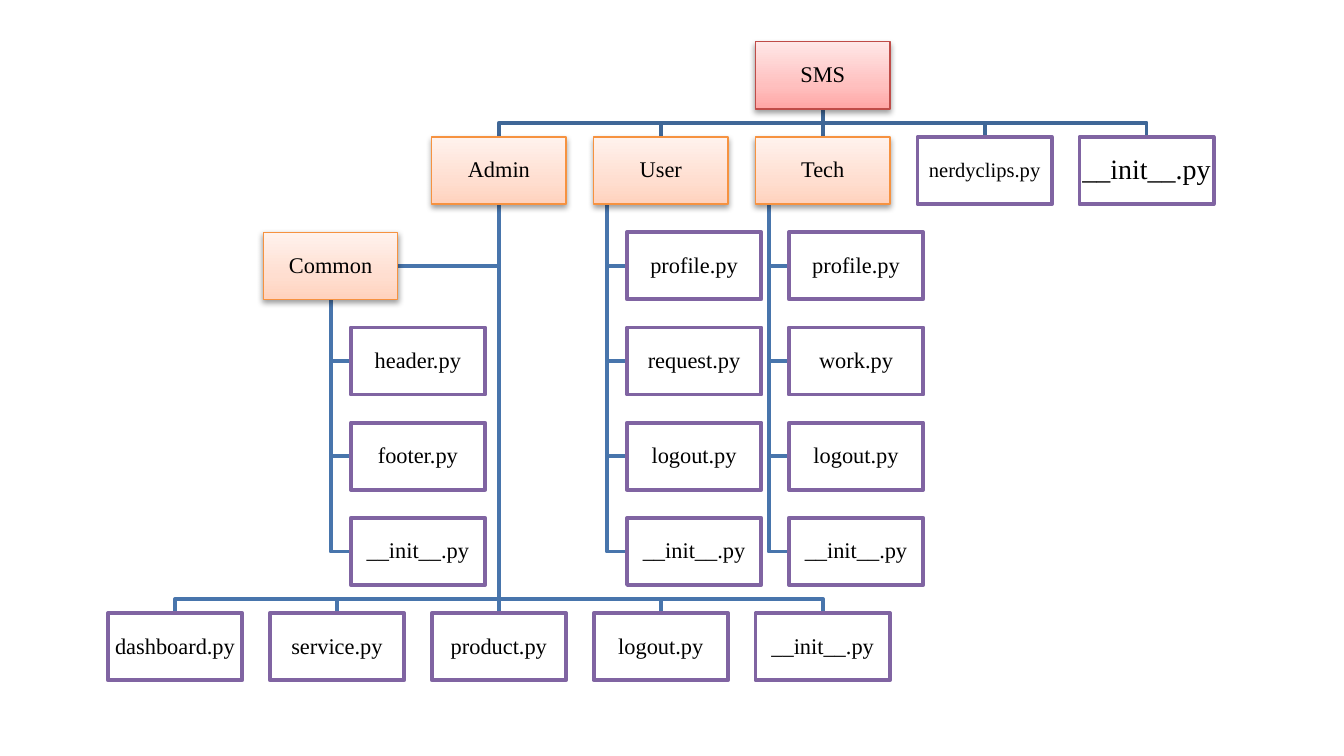
from lxml.etree import SubElement
from pptx import Presentation
from pptx.dml.color import RGBColor
from pptx.enum.shapes import MSO_CONNECTOR, MSO_SHAPE
from pptx.enum.text import MSO_ANCHOR, PP_ALIGN
from pptx.oxml.ns import qn
from pptx.util import Cm, Pt

# Colours
BLACK = RGBColor(0x00, 0x00, 0x00)
WHITE = RGBColor(0xFF, 0xFF, 0xFF)
ROOT_LINK = RGBColor(0x3F, 0x67, 0x97)
FOLDER_LINK = RGBColor(0x48, 0x75, 0xAC)
ROOT_EDGE = RGBColor(0xBF, 0x4C, 0x48)
FOLDER_EDGE = RGBColor(0xF6, 0x92, 0x40)
FILE_EDGE = RGBColor(0x80, 0x64, 0xA2)
ROOT_SHADES = [RGBColor(0xFF, 0xA6, 0xA5), RGBColor(0xFF, 0xC0, 0xBF), RGBColor(0xFF, 0xE7, 0xE7)]
FOLDER_SHADES = [RGBColor(0xFF, 0xD2, 0xBD), RGBColor(0xFF, 0xDE, 0xD0), RGBColor(0xFF, 0xF2, 0xED)]

# Grid in centimetres
BOX_W, BOX_H = 2.54, 1.27
LEFT, TOP = 2.04, 0.79
COLUMN_STEP, ROW_STEP = 3.06, 1.8
BRANCH_GAP = 0.27   # from a horizontal branch down to its boxes
SPINE_INSET = 0.25  # from the folder's left edge to its spine
SPINE_GAP = 0.38    # from a spine to its files
COMMON_X = 4.98

# Content
TOP_ROW = ["Admin", "User", "Tech", "nerdyclips.py", "__init__.py"]
TOP_SIZES = [12, 12, 12, 11, 15]
ADMIN_FILES = ["dashboard.py", "service.py", "product.py", "logout.py", "__init__.py"]
COMMON_FILES = ["header.py", "footer.py", "__init__.py"]
USER_FILES = ["profile.py", "request.py", "logout.py", "__init__.py"]
TECH_FILES = ["profile.py", "work.py", "logout.py", "__init__.py"]


def column_x(column):
    return LEFT + column * COLUMN_STEP


def row_y(row):
    return TOP + row * ROW_STEP


def add_label(shape, text, size=12, font="Times New Roman", color=BLACK):
    frame = shape.text_frame
    frame.word_wrap = True
    frame.vertical_anchor = MSO_ANCHOR.MIDDLE
    frame.margin_left = frame.margin_right = Cm(0.02)
    frame.margin_top = frame.margin_bottom = Cm(0.02)
    paragraph = frame.paragraphs[0]
    paragraph.alignment = PP_ALIGN.CENTER
    paragraph.line_spacing = 0.9
    run = paragraph.add_run()
    run.text = text
    run.font.size = Pt(size)
    run.font.name = font
    run.font.color.rgb = color


def add_box(slide, x, y, text, edge, edge_width, size=12):
    box = slide.shapes.add_shape(MSO_SHAPE.RECTANGLE, Cm(x), Cm(y), Cm(BOX_W), Cm(BOX_H))
    box.shadow.inherit = False
    box.fill.solid()
    box.fill.fore_color.rgb = WHITE
    box.line.color.rgb = edge
    box.line.width = Pt(edge_width)
    add_label(box, text, size=size)
    return box


def add_file(slide, x, y, text, size=12):
    add_box(slide, x, y, text, FILE_EDGE, 2, size)


def add_folder(slide, x, y, text, edge=FOLDER_EDGE, shades=FOLDER_SHADES):
    box = add_box(slide, x, y, text, edge, 0.75)
    box.fill.gradient()
    box.fill.gradient_angle = 90
    properties = box.element.spPr
    # Three gradient stops, darkest at the bottom
    stops = properties.find(".//" + qn("a:gsLst"))
    for stop in list(stops):
        stops.remove(stop)
    for position, shade in zip((0, 35000, 100000), shades):
        stop = SubElement(stops, qn("a:gs"), pos=str(position))
        SubElement(stop, qn("a:srgbClr"), val=str(shade))
    # Soft shadow below
    shadow = SubElement(properties.find(qn("a:effectLst")), qn("a:outerShdw"),
                        blurRad="40000", dist="20000", dir="5400000", rotWithShape="0")
    tint = SubElement(shadow, qn("a:srgbClr"), val=str(BLACK))
    SubElement(tint, qn("a:alpha"), val="38000")


def add_link(slide, points, color):
    points = [(Cm(x), Cm(y)) for x, y in points]
    if len(points) == 2:
        link = slide.shapes.add_connector(MSO_CONNECTOR.STRAIGHT, *points[0], *points[1])
        SubElement(link.element.spPr, qn("a:effectLst"))
    else:
        builder = slide.shapes.build_freeform(*points[0])
        builder.add_line_segments(points[1:], close=False)
        link = builder.convert_to_shape()
        link.fill.background()
        link.shadow.inherit = False
    link.line.color.rgb = color
    link.line.width = Pt(2)


def link_row(slide, parent_column, parent_row, columns, row, color):
    """Link a parent's bottom to the top of each box in a row."""
    start_x = column_x(parent_column) + BOX_W / 2
    start_y, end_y = row_y(parent_row) + BOX_H, row_y(row)
    branch_y = end_y - BRANCH_GAP
    for column in columns:
        end_x = column_x(column) + BOX_W / 2
        bends = [] if column == parent_column else [(start_x, branch_y), (end_x, branch_y)]
        add_link(slide, [(start_x, start_y), *bends, (end_x, end_y)], color)


def add_file_list(slide, spine_x, folder_row, names):
    """Hang a column of files on a spine below their folder."""
    start_y = row_y(folder_row) + BOX_H
    file_x = spine_x + SPINE_GAP
    for row, name in enumerate(names, folder_row + 1):
        middle_y = row_y(row) + BOX_H / 2
        add_link(slide, [(spine_x, start_y), (spine_x, middle_y), (file_x, middle_y)], FOLDER_LINK)
        add_file(slide, file_x, row_y(row), name)


def main():
    presentation = Presentation()
    presentation.slide_width, presentation.slide_height = Cm(25.4), Cm(14.29)
    slide = presentation.slides.add_slide(presentation.slide_layouts[6])

    # Links between levels
    link_row(slide, 4, 0, range(2, 7), 1, ROOT_LINK)
    link_row(slide, 2, 1, range(5), 6, FOLDER_LINK)
    admin_middle, common_middle = column_x(2) + BOX_W / 2, row_y(2) + BOX_H / 2
    add_link(slide, [(admin_middle, row_y(1) + BOX_H), (admin_middle, common_middle),
                     (COMMON_X + BOX_W, common_middle)], FOLDER_LINK)

    # Files inside the folders
    add_file_list(slide, COMMON_X + BOX_W / 2, 2, COMMON_FILES)
    add_file_list(slide, column_x(3) + SPINE_INSET, 1, USER_FILES)
    add_file_list(slide, column_x(4) + SPINE_INSET, 1, TECH_FILES)
    for column, name in enumerate(ADMIN_FILES):
        add_file(slide, column_x(column), row_y(6), name)

    # Root, its folders and its files
    add_folder(slide, column_x(4), row_y(0), "SMS", edge=ROOT_EDGE, shades=ROOT_SHADES)
    for column, (name, size) in enumerate(zip(TOP_ROW, TOP_SIZES), 2):
        if name.endswith(".py"):
            add_file(slide, column_x(column), row_y(1), name, size)
        else:
            add_folder(slide, column_x(column), row_y(1), name)
    add_folder(slide, COMMON_X, row_y(2), "Common")

    presentation.save("out.pptx")


if __name__ == "__main__":
    main()
